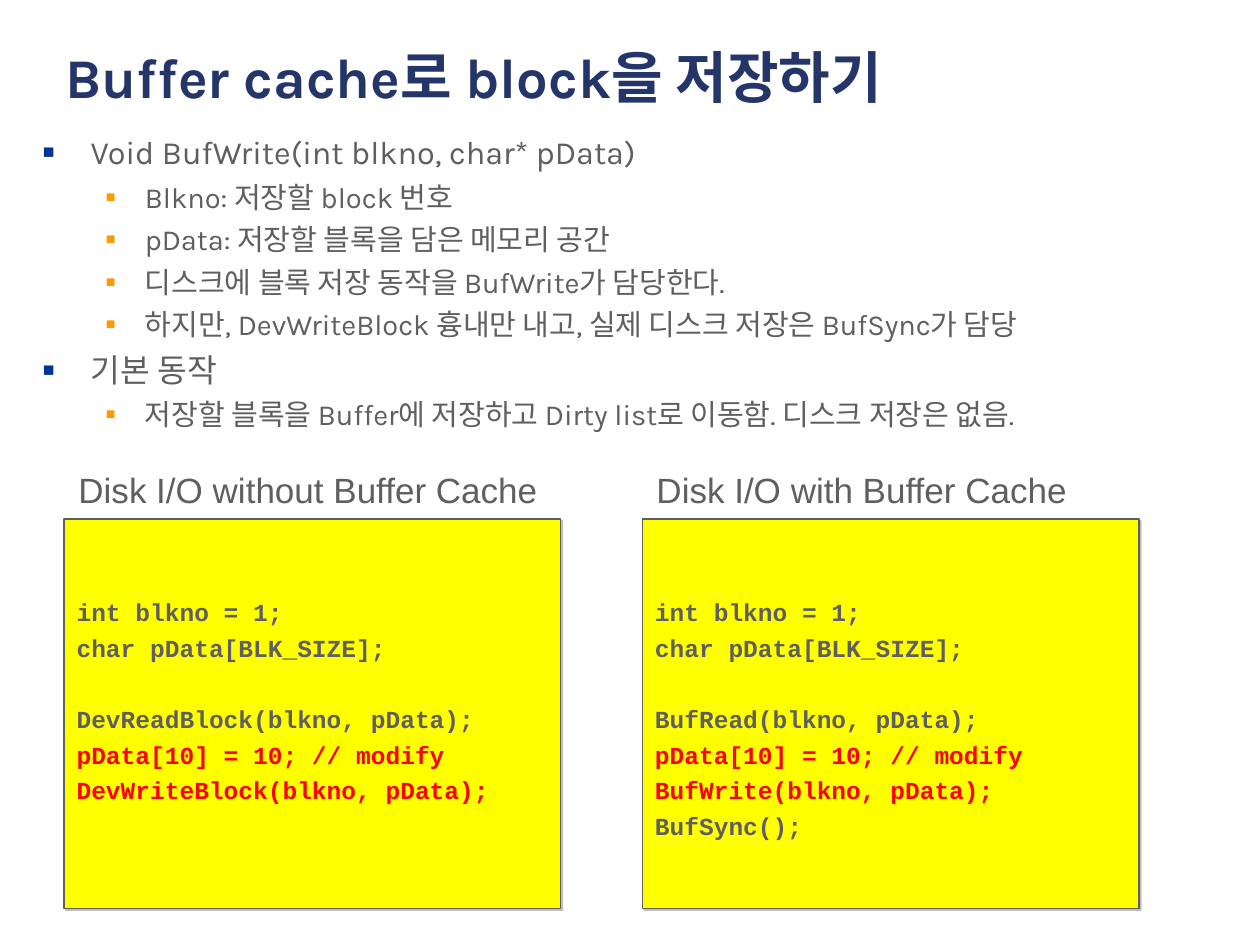
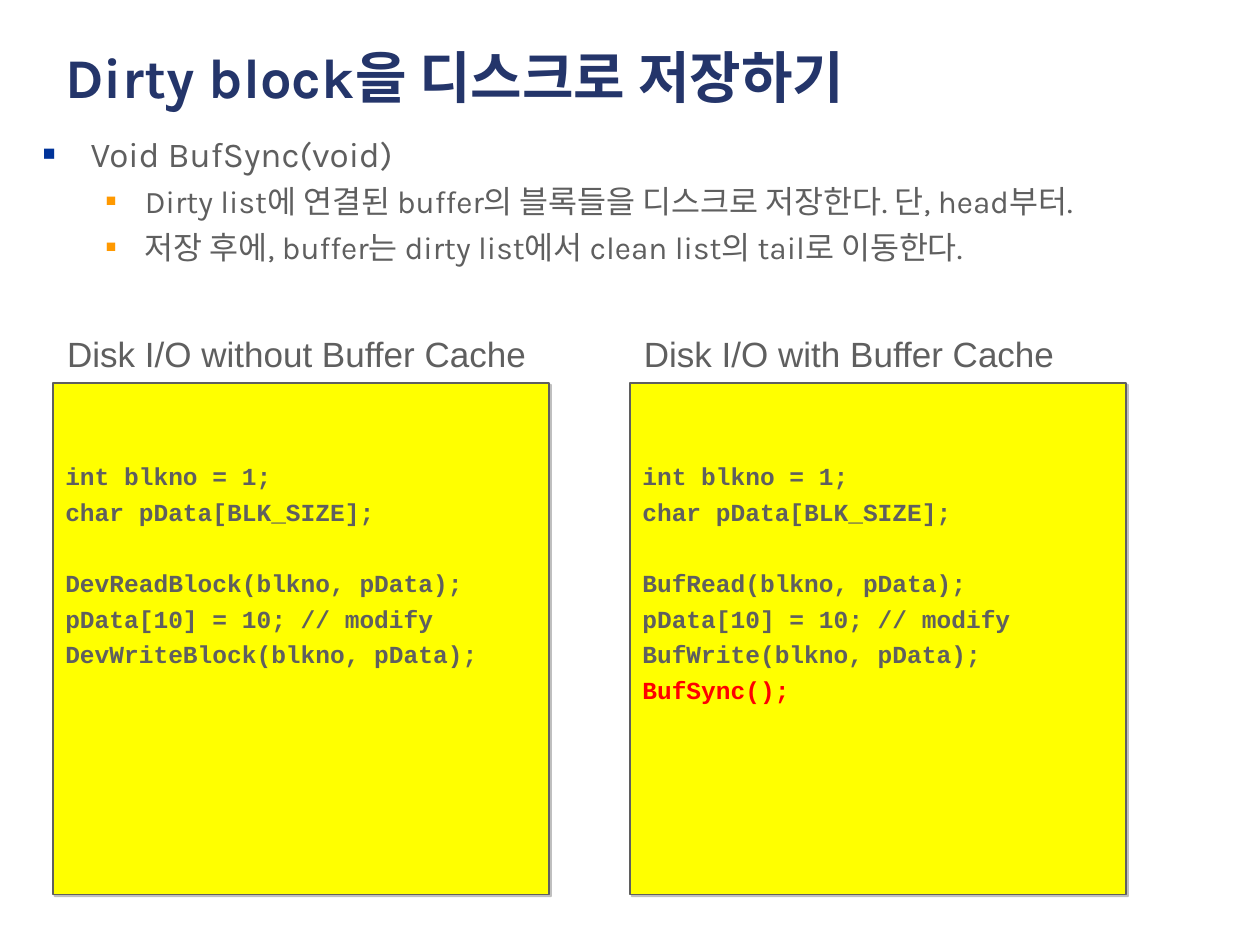
from dataclasses import dataclass

from lxml.etree import SubElement
from pptx import Presentation
from pptx.dml.color import RGBColor
from pptx.enum.shapes import MSO_SHAPE
from pptx.enum.text import MSO_ANCHOR, MSO_AUTO_SIZE, PP_ALIGN
from pptx.oxml.ns import qn
from pptx.util import Emu, Pt

EMU_PER_PX = 9144  # 100 px to the inch


def px(length: int) -> Emu:
    return Emu(length * EMU_PER_PX)


@dataclass(frozen=True)
class Theme:
    navy: str = "24356A"
    gray: str = "5F5F5F"
    red: str = "FF0000"
    yellow: str = "FFFF00"
    shadow: str = "808080"
    text_font: str = "Karla"
    label_font: str = "Arial"
    code_font: str = "Courier New"
    title_size: float = 32
    label_size: float = 20
    code_size: float = 14
    title_line: float = 41
    code_line: float = 16
    code_gap: float = 4.4
    body_line_ratio: float = 1.17


THEME = Theme()


@dataclass(frozen=True)
class BulletStyle:
    color: str
    percent: int
    margin: int
    hanging: int
    space_before: float


BULLETS = (
    BulletStyle("003399", 60, 38, 38, 5.5),
    BulletStyle("FF9900", 55, 81, 31, 4.9),
)


@dataclass(frozen=True)
class Item:
    level: int
    text: str


@dataclass(frozen=True)
class Panel:
    label: str
    label_width: int
    calls: tuple[str, ...]


@dataclass(frozen=True)
class Page:
    title: str
    items: tuple[Item, ...]
    item_sizes: tuple[float, float]
    body_height: int
    panel_lefts: tuple[int, int]
    panel_top: int
    panel_height: int
    highlights: tuple[str, ...]


DECLARATIONS = ("int blkno = 1;", "char pData[BLK_SIZE];")
MODIFY = "pData[10] = 10; // modify"
PANEL_WIDTH = 394
LABEL_RISE = 45
PANELS = (
    Panel("Disk I/O without Buffer Cache", 385,
          ("DevReadBlock(blkno, pData);", MODIFY, "DevWriteBlock(blkno, pData);")),
    Panel("Disk I/O with Buffer Cache", 346,
          ("BufRead(blkno, pData);", MODIFY, "BufWrite(blkno, pData);", "BufSync();")),
)

PAGES = (
    Page(
        "Buffer cache로 block을 저장하기",
        (
            Item(0, "Void BufWrite(int blkno, char* pData)"),
            Item(1, "Blkno: 저장할 block 번호"),
            Item(1, "pData: 저장할 블록을 담은 메모리 공간"),
            Item(1, "디스크에 블록 저장 동작을 BufWrite가 담당한다."),
            Item(1, "하지만, DevWriteBlock 흉내만 내고, 실제 디스크 저장은 BufSync가 담당"),
            Item(0, "기본 동작"),
            Item(1, "저장할 블록을 Buffer에 저장하고 Dirty list로 이동함. 디스크 저장은 없음."),
        ),
        (18.5, 16.6), 256, (51, 510), 412, 309,
        (MODIFY, "DevWriteBlock(blkno, pData);", "BufWrite(blkno, pData);"),
    ),
    Page(
        "Dirty block을 디스크로 저장하기",
        (
            Item(0, "Void BufSync(void)"),
            Item(1, "Dirty list에 연결된 buffer의 블록들을 디스크로 저장한다. 단, head부터."),
            Item(1, "저장 후에, buffer는 dirty list에서 clean list의 tail로 이동한다."),
        ),
        (20, 18), 149, (42, 500), 304, 406,
        ("BufSync();",),
    ),
)


def place(box, left: int, top: int, width: int, height: int) -> None:
    box.left, box.top, box.width, box.height = map(px, (left, top, width, height))


def set_frame(frame, top_inset: int = 5, wrap: bool = True) -> None:
    frame.word_wrap = wrap
    frame.auto_size = MSO_AUTO_SIZE.NONE
    frame.vertical_anchor = MSO_ANCHOR.TOP
    frame.margin_left = frame.margin_right = px(10)
    frame.margin_top, frame.margin_bottom = px(top_inset), px(5)


def style_runs(para, font_name: str, size: float, color: str, bold: bool = False) -> None:
    for span in para.runs:
        span.font.name = font_name
        span.font.size = Pt(size)
        span.font.bold = bold
        span.font.color.rgb = RGBColor.from_string(color)


def add_bullet(para, style: BulletStyle) -> None:
    properties = para._p.get_or_add_pPr()
    properties.set("marL", str(px(style.margin)))
    properties.set("indent", str(-px(style.hanging)))
    color = SubElement(properties, qn("a:buClr"))
    SubElement(color, qn("a:srgbClr"), val=style.color)
    SubElement(properties, qn("a:buSzPct"), val=str(style.percent * 1000))
    SubElement(properties, qn("a:buFont"), typeface="Arial")
    SubElement(properties, qn("a:buChar"), char="■")


def add_shadow(shape) -> None:
    """Give the shape a hard, half-transparent shadow to the lower right."""
    shape.shadow.inherit = False
    effects = shape._element.spPr.find(qn("a:effectLst"))
    outer = SubElement(effects, qn("a:outerShdw"), blurRad="0", dist=str(Pt(1.4)),
                       dir=str(45 * 60000), algn="ctr", rotWithShape="0")
    color = SubElement(outer, qn("a:srgbClr"), val=THEME.shadow)
    SubElement(color, qn("a:alpha"), val="50000")


def fill_title(box, text: str) -> None:
    place(box, 42, 25, 903, 122)
    set_frame(box.text_frame)
    box.text_frame.text = text
    para = box.text_frame.paragraphs[0]
    para.alignment = PP_ALIGN.LEFT
    para.line_spacing = Pt(THEME.title_line)
    style_runs(para, THEME.text_font, THEME.title_size, THEME.navy, bold=True)


def fill_body(box, page: Page) -> None:
    place(box, 24, 99, 914, page.body_height)
    frame = box.text_frame
    set_frame(frame, top_inset=7)
    frame.text = "\n".join(item.text for item in page.items)
    for index, (para, item) in enumerate(zip(frame.paragraphs, page.items)):
        style, size = BULLETS[item.level], page.item_sizes[item.level]
        para.level = item.level
        add_bullet(para, style)
        para.line_spacing = Pt(size * THEME.body_line_ratio)
        para.space_before = Pt(style.space_before if index else 0)
        style_runs(para, THEME.text_font, size, THEME.gray)


def add_code(slide, page: Page, panel: Panel, left: int) -> None:
    box = slide.shapes.add_shape(MSO_SHAPE.RECTANGLE, px(left), px(page.panel_top),
                                 px(PANEL_WIDTH), px(page.panel_height))
    box.fill.solid()
    box.fill.fore_color.rgb = RGBColor.from_string(THEME.yellow)
    box.line.color.rgb = RGBColor.from_string(THEME.gray)
    box.line.width = Pt(1)
    add_shadow(box)
    frame = box.text_frame
    set_frame(frame, top_inset=63, wrap=False)
    frame.text = "\n".join(DECLARATIONS + panel.calls)
    for index, para in enumerate(frame.paragraphs):
        para.alignment = PP_ALIGN.LEFT
        para.line_spacing = Pt(THEME.code_line)
        gap = THEME.code_gap if index else 0
        if index == len(DECLARATIONS):
            gap += THEME.code_line + THEME.code_gap
        para.space_before = Pt(gap)
        color = THEME.red if para.text in page.highlights else THEME.gray
        style_runs(para, THEME.code_font, THEME.code_size, color, bold=True)


def add_label(slide, page: Page, panel: Panel, left: int) -> None:
    box = slide.shapes.add_textbox(px(left + 1), px(page.panel_top - LABEL_RISE),
                                   px(panel.label_width), px(44))
    set_frame(box.text_frame, wrap=False)
    box.text_frame.text = panel.label
    para = box.text_frame.paragraphs[0]
    para.alignment = PP_ALIGN.CENTER
    style_runs(para, THEME.label_font, THEME.label_size, THEME.gray)


def add_page(deck, page: Page) -> None:
    slide = deck.slides.add_slide(deck.slide_layouts[1])
    fill_title(slide.shapes.title, page.title)
    fill_body(slide.placeholders[1], page)
    for panel, left in zip(PANELS, page.panel_lefts):
        add_code(slide, page, panel, left)
        add_label(slide, page, panel, left)


def main() -> None:
    deck = Presentation()
    deck.slide_width, deck.slide_height = px(1000), px(750)
    for page in PAGES:
        add_page(deck, page)
    deck.save("out.pptx")


if __name__ == "__main__":
    main()
